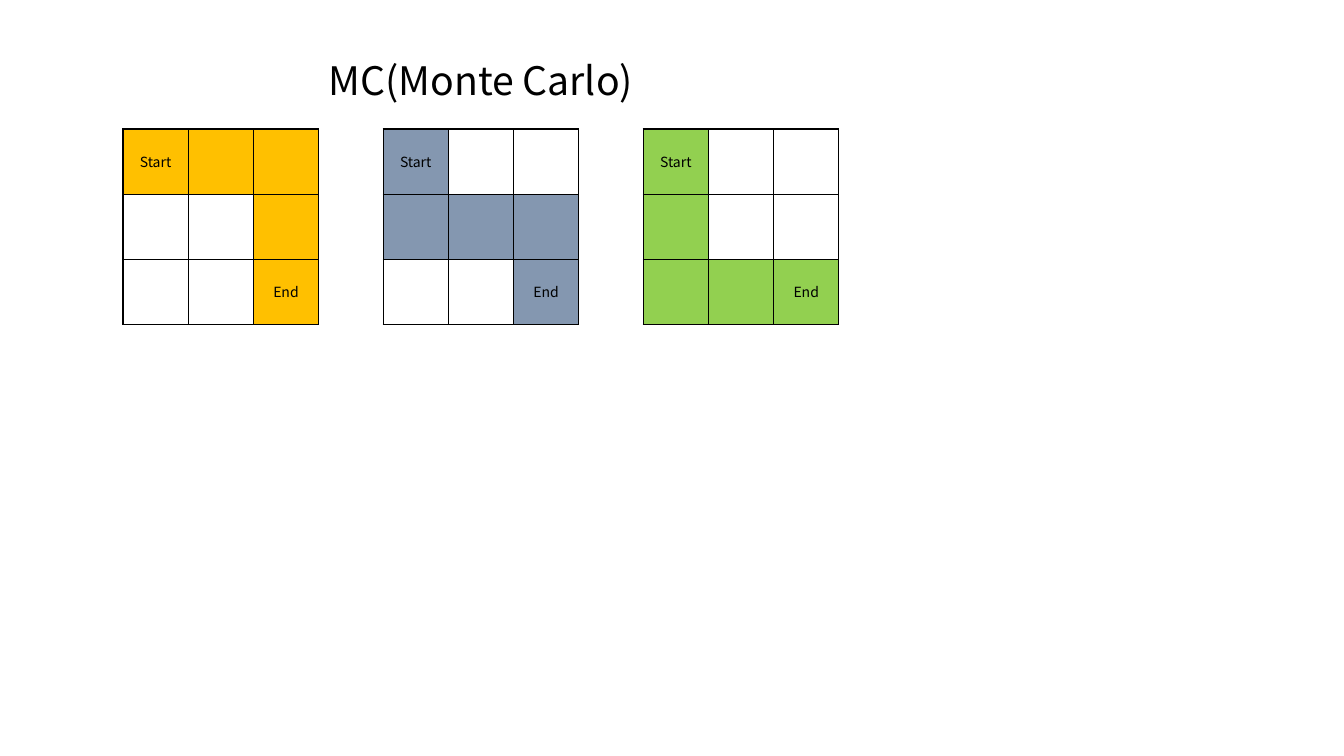
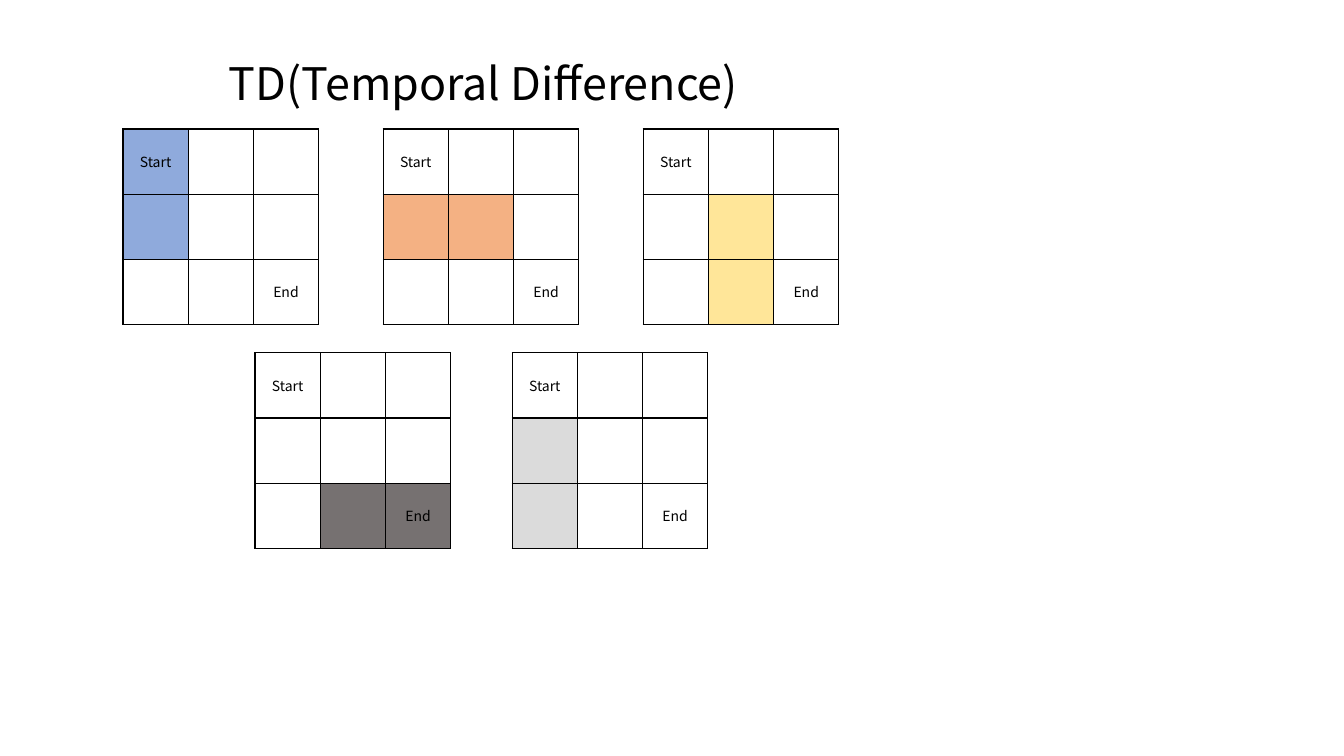
from lxml import etree
from pptx import Presentation
from pptx.dml import color
from pptx.enum import text
from pptx.oxml import ns
from pptx.util import Inches, Pt

FONT = "Noto Sans CJK KR"
BLACK = "000000"
WHITE = "FFFFFF"
GRID_SIZE = 1.94
GRID_CELLS = 3
TOP_ROW = {"left": 1.22, "top": 1.28, "pitch": 2.58}
BOTTOM_ROW = {"left": 2.53, "top": 3.5, "pitch": 2.55}
LABELS = {(0, 0): "Start", (2, 2): "End"}
CELL_FORMAT = {
    "margin_left": Inches(0.05),
    "margin_right": Inches(0.05),
    "margin_top": Inches(0.03),
    "margin_bottom": Inches(0.03),
    "vertical_anchor": text.MSO_ANCHOR.MIDDLE,
}
TITLE_FORMAT = {
    "word_wrap": True,
    "auto_size": text.MSO_AUTO_SIZE.SHAPE_TO_FIT_TEXT,
    "vertical_anchor": text.MSO_ANCHOR.TOP,
}

MONTE_CARLO_PATHS = [
    ("FFC000", ["###", "..#", "..#"]),
    ("8497B0", ["#..", "###", "..#"]),
    ("92D050", ["#..", "#..", "###"]),
]
TEMPORAL_STEPS = [
    ("8FAADC", ["#..", "#..", "..."]),
    ("F4B183", ["...", "##.", "..."]),
    ("FFE699", ["...", ".#.", ".#."]),
]
LATER_STEPS = [
    ("767171", ["...", "...", ".##"]),
    ("DBDBDB", ["...", "#..", "#.."]),
]


def rgb(value):
    return color.RGBColor.from_string(value)


def apply_format(target, values):
    for name, value in values.items():
        setattr(target, name, value)


def write_text(paragraph, words, size, alignment):
    paragraph.alignment = alignment
    run = paragraph.add_run()
    run.text = words
    apply_format(run.font, {"name": FONT, "size": Pt(size), "bold": False})
    run.font.color.rgb = rgb(BLACK)
    east_asian = etree.SubElement(run.font._element, ns.qn("a:ea"))
    east_asian.set("typeface", FONT)


def add_borders(cell):
    properties = cell._tc.get_or_add_tcPr()
    for side in ("lnL", "lnR", "lnT", "lnB"):
        line = etree.SubElement(properties, ns.qn(f"a:{side}"), w=str(Pt(1)))
        fill = etree.SubElement(line, ns.qn("a:solidFill"))
        etree.SubElement(fill, ns.qn("a:srgbClr"), val=BLACK)


def format_cell(cell, fill, label):
    apply_format(cell, CELL_FORMAT)
    add_borders(cell)
    cell.fill.solid()
    cell.fill.fore_color.rgb = rgb(fill)
    if label:
        write_text(cell.text_frame.paragraphs[0], label, 10, text.PP_ALIGN.CENTER)


def add_grid(slide, left, top, size, fill, pattern):
    frame = slide.shapes.add_table(
        GRID_CELLS, GRID_CELLS, Inches(left), Inches(top), Inches(size), Inches(size)
    )
    table = frame.table
    apply_format(table, {"first_row": False, "horz_banding": False})
    for row, marks in enumerate(pattern):
        for column, mark in enumerate(marks):
            cell_fill = fill if mark == "#" else WHITE
            format_cell(table.cell(row, column), cell_fill, LABELS.get((row, column)))


def add_grid_row(slide, grids, left, top, pitch):
    for index, (fill, pattern) in enumerate(grids):
        add_grid(slide, left + index * pitch, top, GRID_SIZE, fill, pattern)


def add_title(slide, words, size, left, top, width, height):
    title = slide.shapes.title
    apply_format(title, {
        "left": Inches(left),
        "top": Inches(top),
        "width": Inches(width),
        "height": Inches(height),
    })
    apply_format(title.text_frame, TITLE_FORMAT)
    write_text(title.text_frame.paragraphs[0], words, size, text.PP_ALIGN.LEFT)


def add_title_slide(presentation):
    return presentation.slides.add_slide(presentation.slide_layouts[5])


def add_monte_carlo(presentation):
    slide = add_title_slide(presentation)
    add_title(slide, "MC(Monte Carlo)", 28, 3.16, 0.51, 3.28, 0.57)
    add_grid_row(slide, MONTE_CARLO_PATHS, **TOP_ROW)


def add_temporal_difference(presentation):
    slide = add_title_slide(presentation)
    add_title(slide, "TD(Temporal Difference)", 32, 2.17, 0.5, 5.83, 0.64)
    add_grid_row(slide, TEMPORAL_STEPS, **TOP_ROW)
    add_grid_row(slide, LATER_STEPS, **BOTTOM_ROW)


presentation = Presentation()
presentation.slide_width = Inches(13.33)
presentation.slide_height = Inches(7.5)
add_monte_carlo(presentation)
add_temporal_difference(presentation)
presentation.save("out.pptx")
